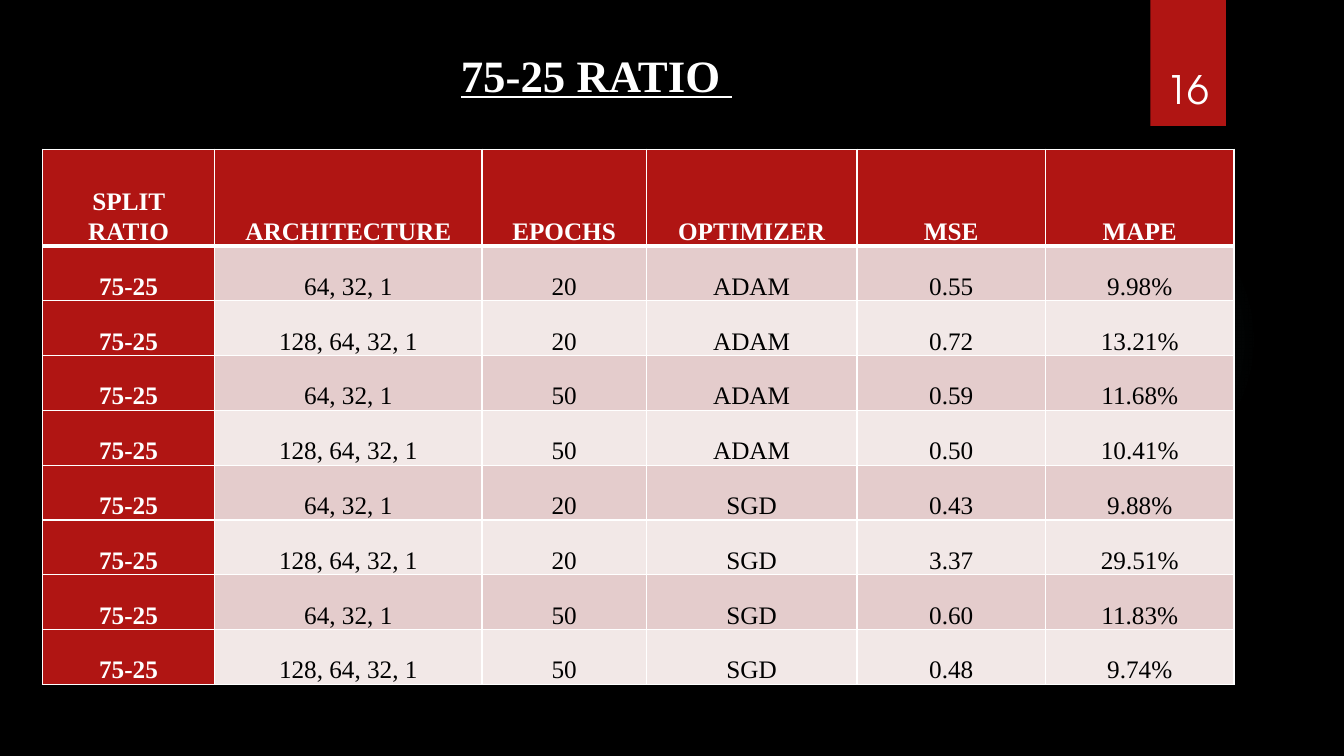
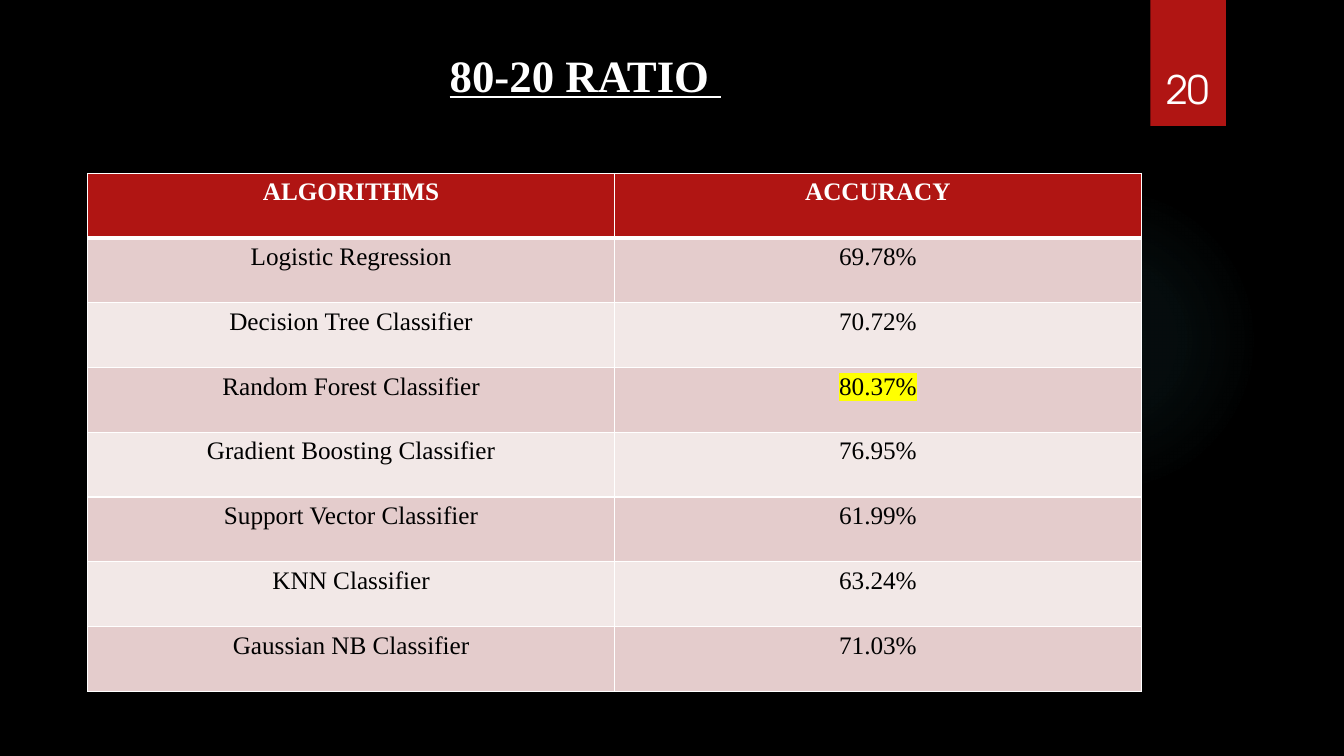
from dataclasses import dataclass

from lxml import etree
from pptx import Presentation
from pptx.dml.color import RGBColor
from pptx.enum.shapes import MSO_SHAPE
from pptx.enum.text import MSO_ANCHOR, MSO_AUTO_SIZE, PP_ALIGN
from pptx.oxml import parse_xml
from pptx.oxml.ns import qn
from pptx.util import Inches, Pt

RECTANGLE, OVAL = MSO_SHAPE.RECTANGLE, MSO_SHAPE.OVAL
TOP, BOTTOM = MSO_ANCHOR.TOP, MSO_ANCHOR.BOTTOM
LEFT, CENTER = PP_ALIGN.LEFT, PP_ALIGN.CENTER
NO_AUTOFIT = MSO_AUTO_SIZE.NONE
DRAWING_NS = "http://schemas.openxmlformats.org/drawingml/2006/main"
TITLE_ONLY = 5


@dataclass(frozen=True)
class Theme:
    """Colours, fonts and type sizes of the deck."""
    background: str = "000000"
    accent: str = "B01513"
    glow: str = "50B9C1"
    light: str = "FFFFFF"
    dark: str = "000000"
    bands: tuple = ("E4CCCC", "F2E8E7")
    highlight: str = "FFFF00"
    text_font: str = "Times New Roman"
    number_font: str = "TeX Gyre Adventor"
    title_size: int = 32
    number_size: int = 28
    cell_size: int = 18
    border: float = 1
    header_border: float = 3


@dataclass(frozen=True)
class Box:
    """A region of a slide, in inches."""
    left: float
    top: float
    width: float
    height: float

    def lengths(self):
        """Return left, top, width and height as lengths."""
        return [Inches(v) for v in (self.left, self.top, self.width, self.height)]


@dataclass(frozen=True)
class CellLayout:
    """How text sits in the cells of a table."""
    anchor: int = TOP
    side_margin: float = 0.1
    end_margin: float = 0.05
    line_spacing: float = 1.0
    space_after: float = 0
    row_headings: bool = False


THEME = Theme()
GLOW_BOX = Box(9.41, 1.83, 3.08, 3.08)
BAND_BOX = Box(11.41, 0, 0.75, 1.25)
NUMBER_BOX = Box(11.32, 0.32, 0.92, 0.84)

RATIO_LAYOUT = CellLayout(BOTTOM, 0.07, 0, 1.07, 8, True)
RATIO_HEADER = ("SPLIT RATIO", "ARCHITECTURE", "EPOCHS", "OPTIMIZER", "MSE", "MAPE")
RATIO_RESULTS = (
    ("64, 32, 1", "20", "ADAM", "0.55", "9.98%"),
    ("128, 64, 32, 1", "20", "ADAM", "0.72", "13.21%"),
    ("64, 32, 1", "50", "ADAM", "0.59", "11.68%"),
    ("128, 64, 32, 1", "50", "ADAM", "0.50", "10.41%"),
    ("64, 32, 1", "20", "SGD", "0.43", "9.88%"),
    ("128, 64, 32, 1", "20", "SGD", "3.37", "29.51%"),
    ("64, 32, 1", "50", "SGD", "0.60", "11.83%"),
    ("128, 64, 32, 1", "50", "SGD", "0.48", "9.74%"),
)
ACCURACY_ROWS = (
    ("ALGORITHMS", "ACCURACY"),
    ("Logistic Regression", "69.78%"),
    ("Decision Tree Classifier", "70.72%"),
    ("Random Forest Classifier", "80.37%"),
    ("Gradient Boosting Classifier", "76.95%"),
    ("Support Vector Classifier", "61.99%"),
    ("KNN Classifier", "63.24%"),
    ("Gaussian NB Classifier", "71.03%"),
)
BEST_ACCURACY = "80.37%"


def style_font(font, name, size, color, bold=False, underline=False):
    """Set the face, size, colour and emphasis of a font."""
    font.name, font.size = name, Pt(size)
    font.bold, font.underline = bold, underline
    font.color.rgb = RGBColor.from_string(color)


def add_plain_shape(slide, kind, box):
    """Add a shape without outline or shadow."""
    shape = slide.shapes.add_shape(kind, *box.lengths())
    shape.shadow.inherit = False
    shape.line.fill.background()
    return shape


def add_glow(slide, box):
    """Add the faint round glow, which fades towards its edge."""
    glow = add_plain_shape(slide, OVAL, box)
    stops = "".join(
        f'<a:gs pos="{pos * 1000}"><a:srgbClr val="{THEME.glow}">'
        f'<a:alpha val="{alpha * 1000}"/></a:srgbClr></a:gs>'
        for pos, alpha in ((0, 7), (36, 6), (69, 0)))
    gradient = parse_xml(
        f'<a:gradFill xmlns:a="{DRAWING_NS}" rotWithShape="1"><a:gsLst>{stops}</a:gsLst>'
        '<a:path path="circle"><a:fillToRect l="50000" t="50000" r="50000" b="50000"/>'
        '</a:path></a:gradFill>')
    glow._element.spPr.find(qn("a:prstGeom")).addnext(gradient)


def add_page_number(slide, band_box, number_box, number):
    """Add the red band and the page number on it."""
    band = add_plain_shape(slide, RECTANGLE, band_box)
    band.fill.solid()
    band.fill.fore_color.rgb = RGBColor.from_string(THEME.accent)
    frame = slide.shapes.add_textbox(*number_box.lengths()).text_frame
    frame.word_wrap = True
    frame.vertical_anchor = BOTTOM
    paragraph = frame.paragraphs[0]
    paragraph.text = number
    paragraph.alignment = CENTER
    style_font(paragraph.font, THEME.number_font, THEME.number_size, THEME.light)


def place_title(slide, box, text):
    """Move the title placeholder to its box and fill it."""
    title = slide.shapes.title
    title.left, title.top, title.width, title.height = box.lengths()
    frame = title.text_frame
    frame.word_wrap = True
    frame.auto_size = NO_AUTOFIT
    frame.vertical_anchor = TOP
    paragraph = frame.paragraphs[0]
    paragraph.text = text
    paragraph.alignment = LEFT
    style_font(paragraph.font, THEME.text_font, THEME.title_size, THEME.light, True, True)


def set_borders(cell, top, bottom):
    """Draw the four cell borders, with given top and bottom widths."""
    properties = cell._tc.get_or_add_tcPr()
    widths = {"lnL": THEME.border, "lnR": THEME.border, "lnT": top, "lnB": bottom}
    for position, (side, width) in enumerate(widths.items()):
        line = etree.Element(qn(f"a:{side}"), w=str(Pt(width)))
        fill = etree.SubElement(line, qn("a:solidFill"))
        etree.SubElement(fill, qn("a:srgbClr"), val=THEME.light)
        properties.insert(position, line)


def highlight_run(run):
    """Mark a run with the highlight colour."""
    mark = etree.SubElement(run._r.get_or_add_rPr(), qn("a:highlight"))
    etree.SubElement(mark, qn("a:srgbClr"), val=THEME.highlight)


def fill_cell(cell, text, row, heading, layout):
    """Write and format one table cell."""
    cell.fill.solid()
    fill = THEME.accent if heading else THEME.bands[(row - 1) % 2]
    cell.fill.fore_color.rgb = RGBColor.from_string(fill)
    cell.vertical_anchor = layout.anchor
    cell.margin_left = cell.margin_right = Inches(layout.side_margin)
    cell.margin_top = cell.margin_bottom = Inches(layout.end_margin)
    paragraph = cell.text_frame.paragraphs[0]
    paragraph.text = text
    paragraph.alignment = CENTER
    paragraph.line_spacing = layout.line_spacing
    paragraph.space_after = Pt(layout.space_after)
    style_font(paragraph.font, THEME.text_font, THEME.cell_size,
               THEME.light if heading else THEME.dark, heading)
    set_borders(cell,
                THEME.header_border if row == 1 else THEME.border,
                THEME.header_border if row == 0 else THEME.border)


def add_results_table(slide, box, rows, widths, header_height, layout):
    """Add a banded table with a red header that fills the box, and return it."""
    table = slide.shapes.add_table(len(rows), len(widths), *box.lengths()).table
    table.horz_banding = False
    table.first_col = layout.row_headings
    body_height = (box.height - header_height) / (len(rows) - 1)
    for column, width in zip(table.columns, widths):
        column.width = Inches(width)
    for r, texts in enumerate(rows):
        table.rows[r].height = Inches(body_height if r else header_height)
        for c, text in enumerate(texts):
            heading = r == 0 or (c == 0 and layout.row_headings)
            fill_cell(table.cell(r, c), text, r, heading, layout)
    return table


def add_base_slide(deck, number, title, title_left):
    """Add a slide with the shared glow, page number and title."""
    slide = deck.slides.add_slide(deck.slide_layouts[TITLE_ONLY])
    add_glow(slide, GLOW_BOX)
    add_page_number(slide, BAND_BOX, NUMBER_BOX, number)
    place_title(slide, Box(title_left, 0.42, 6.67, 0.64), title)
    return slide


def add_network_slide(deck):
    """Add the neural network results for the 75-25 split."""
    slide = add_base_slide(deck, "16", "75-25 RATIO ", 4.47)
    rows = [RATIO_HEADER] + [("75-25", *result) for result in RATIO_RESULTS]
    add_results_table(slide, Box(0.42, 1.48, 11.82, 5.31), rows,
                      (1.71, 2.65, 1.63, 2.09, 1.87, 1.87), 0.96, RATIO_LAYOUT)


def add_accuracy_slide(deck):
    """Add the classifier accuracies for the 80-20 split."""
    slide = add_base_slide(deck, "20", "80-20 RATIO ", 4.36)
    box = Box(0.87, 1.72, 10.45, 5.14)
    table = add_results_table(slide, box, ACCURACY_ROWS, [box.width / 2] * 2,
                              box.height / len(ACCURACY_ROWS), CellLayout())
    for cell in table.iter_cells():
        if cell.text == BEST_ACCURACY:
            highlight_run(cell.text_frame.paragraphs[0].runs[0])


def main():
    """Build and save the deck."""
    deck = Presentation()
    deck.slide_width, deck.slide_height = Inches(13.33), Inches(7.5)
    backdrop = deck.slide_master.background.fill
    backdrop.solid()
    backdrop.fore_color.rgb = RGBColor.from_string(THEME.background)
    add_network_slide(deck)
    add_accuracy_slide(deck)
    deck.save("out.pptx")


if __name__ == "__main__":
    main()
